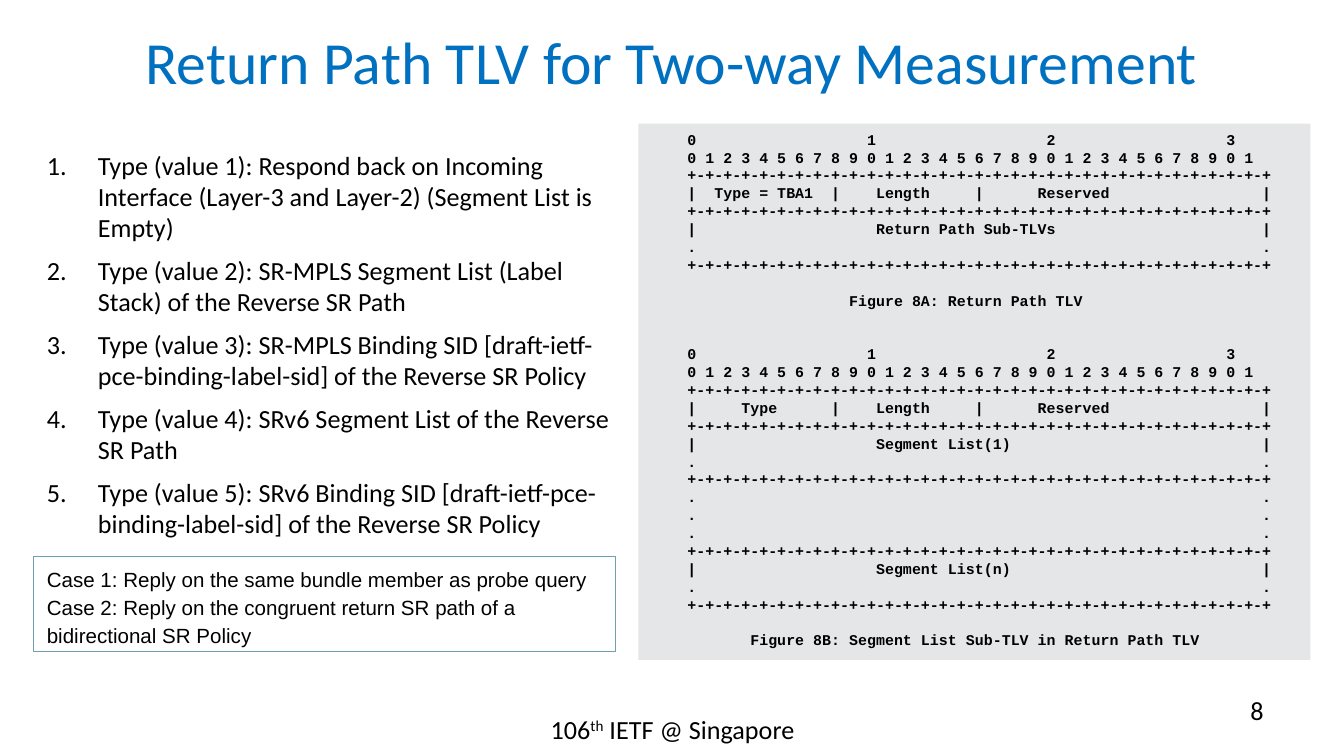
from dataclasses import dataclass

from lxml import etree
from pptx import Presentation
from pptx import util as u
from pptx.dml.color import RGBColor
from pptx.enum import shapes, text
from pptx.oxml import ns

BLACK = RGBColor(0x00, 0x00, 0x00)
BLUE = RGBColor(0x00, 0x70, 0xC0)
TEAL = RGBColor(0x6E, 0xA0, 0xB0)
GREY = RGBColor(0xE5, 0xE6, 0xE8)

SLIDE_WIDTH = u.Inches(10)
SLIDE_HEIGHT = u.Inches(10 * 9 / 16)


@dataclass(frozen=True)
class Box:
    left: float
    top: float
    width: float
    height: float

    def lengths(self) -> tuple:
        return tuple(u.Inches(n) for n in (self.left, self.top, self.width, self.height))


@dataclass(frozen=True)
class Line:
    wording: str
    blank_rows_before: int = 0


INDENT = " " * 4
BORDER = Line(INDENT + "+-" * 32 + "+")
DOTS = Line(INDENT + "." + " " * 63 + ".")
RULER = "".join(f"{tens:<20}" for tens in range(4)).rstrip()
BITS = Line(INDENT + " ".join(str(bit % 10) for bit in range(32)))
ROW_PITCH = 9.57


def field(wording: str) -> Line:
    return Line(f"{INDENT}|{wording:<63}|")


FIGURE = [
    Line(INDENT + RULER),
    BITS,
    BORDER,
    field("  Type = TBA1  |    Length     |      Reserved"),
    BORDER,
    field("                    Return Path Sub-TLVs"),
    DOTS,
    BORDER,
    Line("                      Figure 8A: Return Path TLV", 1),
    Line(INDENT + RULER, 2),
    BITS,
    BORDER,
    field("     Type      |    Length     |      Reserved"),
    BORDER,
    field("                    Segment List(1)"),
    DOTS,
    BORDER,
    *[DOTS] * 3,
    BORDER,
    field("                    Segment List(n)"),
    DOTS,
    BORDER,
    Line("           Figure 8B: Segment List Sub-TLV in Return Path TLV", 1),
]

RETURN_PATH_TYPES = [
    "Type (value 1): Respond back on Incoming Interface (Layer-3 and Layer-2) (Segment List is Empty)",
    "Type (value 2): SR-MPLS Segment List (Label Stack) of the Reverse SR Path",
    "Type (value 3): SR-MPLS Binding SID [draft-ietf-pce-binding-label-sid] of the Reverse SR Policy",
    "Type (value 4): SRv6 Segment List of the Reverse SR Path",
    "Type (value 5): SRv6 Binding SID [draft-ietf-pce-binding-label-sid] of the Reverse SR Policy",
]

CASES = [
    "Case 1: Reply on the same bundle member as probe query",
    "Case 2: Reply on the congruent return SR path of a bidirectional SR Policy",
]


def number(paragraph, hanging: float) -> None:
    properties = paragraph._p.get_or_add_pPr()
    properties.set("marL", str(u.Inches(hanging)))
    properties.set("indent", str(-u.Inches(hanging)))
    etree.SubElement(properties, ns.qn("a:buFont"), typeface="+mj-lt")
    etree.SubElement(properties, ns.qn("a:buAutoNum"), type="arabicPeriod")


def write(frame, lines: list[Line], *, size: float, font: str = "Calibri",
          color: RGBColor = BLACK, bold: bool = False,
          align=text.PP_ALIGN.LEFT, anchor=text.MSO_ANCHOR.TOP,
          pitch: float | None = None, gap: float = 0,
          numbered: bool = False) -> None:
    frame.word_wrap = True
    frame.vertical_anchor = anchor
    for index, line in enumerate(lines):
        paragraph = frame.paragraphs[0] if index == 0 else frame.add_paragraph()
        paragraph.alignment = align
        if pitch:
            paragraph.line_spacing = u.Pt(pitch)
        before = gap + line.blank_rows_before * (pitch or 0)
        if index and before:
            paragraph.space_before = u.Pt(before)
        if numbered:
            number(paragraph, 0.38)
        for part, wording in enumerate(line.wording.split("^")):
            run = paragraph.add_run()
            run.text = wording
            run.font.size = u.Pt(size)
            run.font.name = font
            run.font.bold = bold
            run.font.color.rgb = color
            if part % 2:
                run._r.get_or_add_rPr().set("baseline", "30000")


def add_text(slide, box: Box, lines: list[str], **style) -> None:
    frame = slide.shapes.add_textbox(*box.lengths()).text_frame
    write(frame, [Line(wording) for wording in lines], **style)


def add_panel(slide, box: Box, fill: RGBColor | None = None,
              outline: RGBColor | None = None):
    panel = slide.shapes.add_shape(shapes.MSO_SHAPE.RECTANGLE, *box.lengths())
    panel.shadow.inherit = False
    if fill is None:
        panel.fill.background()
    else:
        panel.fill.solid()
        panel.fill.fore_color.rgb = fill
    if outline is None:
        panel.line.fill.background()
    else:
        panel.line.color.rgb = outline
        panel.line.width = u.Pt(0.75)
    return panel.text_frame


def main() -> None:
    deck = Presentation()
    deck.slide_width, deck.slide_height = SLIDE_WIDTH, SLIDE_HEIGHT
    slide = deck.slides.add_slide(deck.slide_layouts[6])

    add_text(slide, Box(0.5, -0.02, 9, 0.94),
             ["Return Path TLV for Two-way Measurement"], size=32, color=BLUE,
             align=text.PP_ALIGN.CENTER, anchor=text.MSO_ANCHOR.MIDDLE)
    add_text(slide, Box(3.42, 5.26, 3.17, 0.39), ["106^th^ IETF @ Singapore"],
             size=14, align=text.PP_ALIGN.CENTER)
    add_text(slide, Box(7.17, 5.12, 2.33, 0.39), ["8"],
             size=14, align=text.PP_ALIGN.RIGHT)

    packet_formats = add_panel(slide, Box(4.75, 0.92, 5, 3.99), fill=GREY)
    write(packet_formats, FIGURE, size=8, font="Courier New", bold=True, pitch=ROW_PITCH)

    add_text(slide, Box(0.25, 1.06, 4.42, 3.08), RETURN_PATH_TYPES,
             size=14, gap=6, numbered=True)

    cases = add_panel(slide, Box(0.25, 4.14, 4.33, 0.71), outline=TEAL)
    write(cases, [Line(case) for case in CASES], size=11, font="Arial", pitch=15.2)

    deck.save("out.pptx")


if __name__ == "__main__":
    main()
